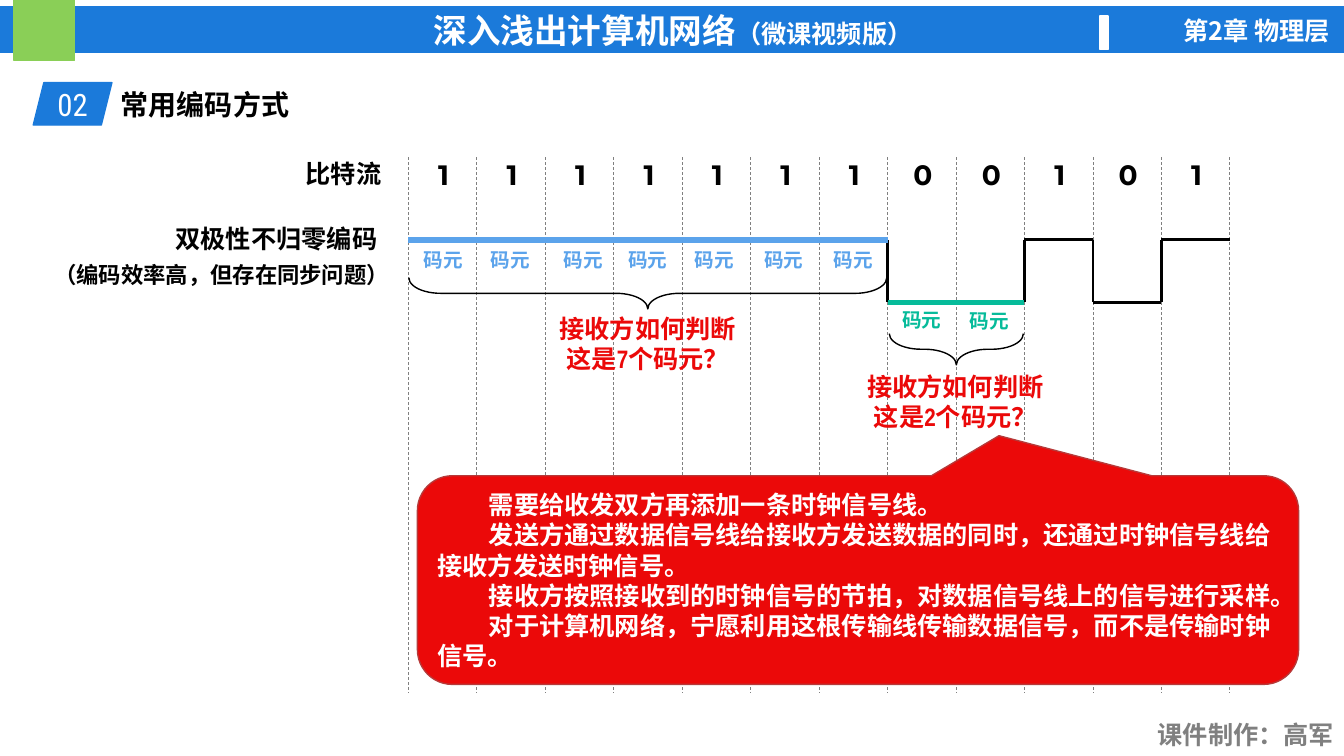
"""Build a slide on bipolar non-return-to-zero encoding and its clock problem."""
from itertools import groupby
from lxml import etree
from pptx import Presentation
from pptx.dml.color import RGBColor
from pptx.enum import dml, shapes, text
from pptx.oxml import ns
from pptx.util import Inches, Pt

BLUE, GREEN, WHITE, BLACK = "1B7ADA", "8ACF57", "FFFFFF", "000000"
GRAY, RED, SKY, TEAL = "808080", "EB0909", "5BA3EB", "06BB9A"
LEFT, CENTER, RIGHT = text.PP_ALIGN.LEFT, text.PP_ALIGN.CENTER, text.PP_ALIGN.RIGHT

TITLE = [("深入浅出计算机网络", 24), ("（微课视频版）", 18)]
BITS = "111111100101"
HIGH_SYMBOL_LEFTS = [4.06, 4.73, 5.45, 6.09, 6.75, 7.44, 8.13]
SYMBOLS = [(x, 2.41, SKY) for x in HIGH_SYMBOL_LEFTS] + [(8.81, 3.01, TEAL), (9.48, 3.02, TEAL)]
LABELS = [
    ("第2章 物理层", (11.11, 0.1, 2.18, 0.4), dict(font="Noto Sans CJK SC", color=WHITE, align=RIGHT)),
    ("课件制作：高军", (11.34, 7.09, 1.99, 0.4), dict(color=GRAY, align=RIGHT)),
    ("常用编码方式", (1.1, 0.82, 6.08, 0.44), dict(size=20)),
    ("比特流", (2.18, 1.52, 1.7, 0.4), dict(align=RIGHT)),
    ("双极性不归零编码", (1.51, 2.17, 2.33, 0.4), dict(align=RIGHT)),
    ("（编码效率高，但存在同步问题）", (0.33, 2.54, 3.74, 0.37), dict(size=16, align=CENTER)),
]
QUESTIONS = [
    (["接收方如何判断", "这是7个码元？"], (5.26, 3.06, 2.33, 0.71), (6.27, 0.54, 0.31, 4.74)),
    (["接收方如何判断", "这是2个码元？"], (8.31, 3.63, 2.33, 0.71), (9.33, 2.8, 0.31, 1.33)),
]
ANSWER = [
    "需要给收发双方再添加一条时钟信号线。",
    "发送方通过数据信号线给接收方发送数据的同时，还通过时钟信号线给接收方发送时钟信号。",
    "接收方按照接收到的时钟信号的节拍，对数据信号线上的信号进行采样。",
    "对于计算机网络，宁愿利用这根传输线传输数据信号，而不是传输时钟信号。",
]
GRID_LEFT, BIT_WIDTH, GRID_TOP, GRID_BOTTOM = 4.05, 0.68 - 0.001, 1.56, 6.88
LEVELS = {"1": 2.38, "0": 3}

deck = Presentation()
deck.slide_width, deck.slide_height = Inches(13.33), Inches(7.5)
slide = deck.slides.add_slide(deck.slide_layouts[6])


def rgb(value):
    return RGBColor.from_string(value)


def write(holder, paragraphs, size=18, font="Arial Narrow", color=BLACK, bold=True,
          align=LEFT, anchor=text.MSO_ANCHOR.TOP, indent=0):
    frame = holder.text_frame
    frame.word_wrap, frame.vertical_anchor = True, anchor
    for number, content in enumerate(paragraphs):
        paragraph = frame.paragraphs[0] if number == 0 else frame.add_paragraph()
        paragraph.alignment = align
        if indent:
            paragraph._p.get_or_add_pPr().set("indent", str(Inches(indent)))
        for words, points in [(content, size)] if isinstance(content, str) else content:
            run = paragraph.add_run()
            run.text = words
            run.font.name, run.font.size, run.font.bold = font, Pt(points), bold
            run.font.color.rgb = rgb(color)
            if font == "Arial Narrow":
                east = etree.SubElement(run._r.get_or_add_rPr(), ns.qn("a:ea"))
                east.set("typeface", "Noto Sans CJK SC")


def label(paragraphs, box, **style):
    write(slide.shapes.add_textbox(*map(Inches, box)), paragraphs, **style)


def draw(kind, box, fill=None, line=None, adjust=()):
    shape = slide.shapes.add_shape(kind, *map(Inches, box))
    shape.shadow.inherit = False
    if fill:
        shape.fill.solid()
        shape.fill.fore_color.rgb = rgb(fill)
    else:
        shape.fill.background()
    shape.line.color.rgb, shape.line.width = rgb(line or fill), Pt(1)
    for number, value in enumerate(adjust):
        shape.adjustments[number] = value
    return shape


def connect(x1, y1, x2, y2, color=BLACK, width=2, dashed=False):
    line = slide.shapes.add_connector(shapes.MSO_CONNECTOR.STRAIGHT, *map(Inches, (x1, y1, x2, y2)))
    line.line.color.rgb, line.line.width = rgb(color), Pt(width)
    if dashed:
        line.line.dash_style = dml.MSO_LINE.DASH
    etree.SubElement(line._element.spPr, ns.qn("a:effectLst"))


def bit_edge(index):
    return GRID_LEFT + index * BIT_WIDTH


kinds, middle = shapes.MSO_SHAPE, text.MSO_ANCHOR.MIDDLE
banner = draw(kinds.RECTANGLE, (0, 0.07, 13.35, 0.45), BLUE)
write(banner, [TITLE], color=WHITE, align=CENTER, anchor=middle)
draw(kinds.RECTANGLE, (0.14, 0, 0.6, 0.6), GREEN)
draw(kinds.RECTANGLE, (10.91, 0.16, 0.08, 0.33), WHITE)
section = draw(kinds.PARALLELOGRAM, (0.33, 0.82, 0.78, 0.42), BLUE)
write(section, ["02"], size=22, font="Roboto Condensed", color=WHITE, bold=False,
      align=CENTER, anchor=middle)

for index in range(len(BITS) + 1):
    connect(bit_edge(index), GRID_TOP, bit_edge(index), GRID_BOTTOM, GRAY, 0.5, dashed=True)

start = 0
for bit, group in groupby(BITS):
    end = start + len(list(group))
    connect(bit_edge(start), LEVELS[bit], bit_edge(end), LEVELS[bit])
    if start:
        connect(bit_edge(start), LEVELS["1"], bit_edge(start), LEVELS["0"])
    start = end
for first, last, bit, color in [(0, 7, "1", SKY), (7, 9, "0", TEAL)]:
    connect(bit_edge(first), LEVELS[bit], bit_edge(last), LEVELS[bit], color, 4)

for index, bit in enumerate(BITS):
    label([bit], (bit_edge(index) + 0.14, 1.51, 0.42, 0.44), size=20, font="Montserrat", align=CENTER)
for left, top, color in SYMBOLS:
    label(["码元"], (left, top, 0.67, 0.34), size=14, color=color, align=CENTER)
for words, box, style in LABELS:
    label([words], box, **style)
for question, box, brace_box in QUESTIONS:
    brace = draw(kinds.RIGHT_BRACE, brace_box, line=BLACK, adjust=(1.015, 0.5))
    brace.rotation = 90
    label(question, box, color=RED, align=CENTER)

callout = draw(kinds.ROUNDED_RECTANGULAR_CALLOUT, (4.14, 4.72, 8.74, 2.07), RED, "B73939",
               (0.16, -0.692, 0.167))
write(callout, ANSWER, color=WHITE, anchor=middle, indent=0.51)

deck.save("out.pptx")
